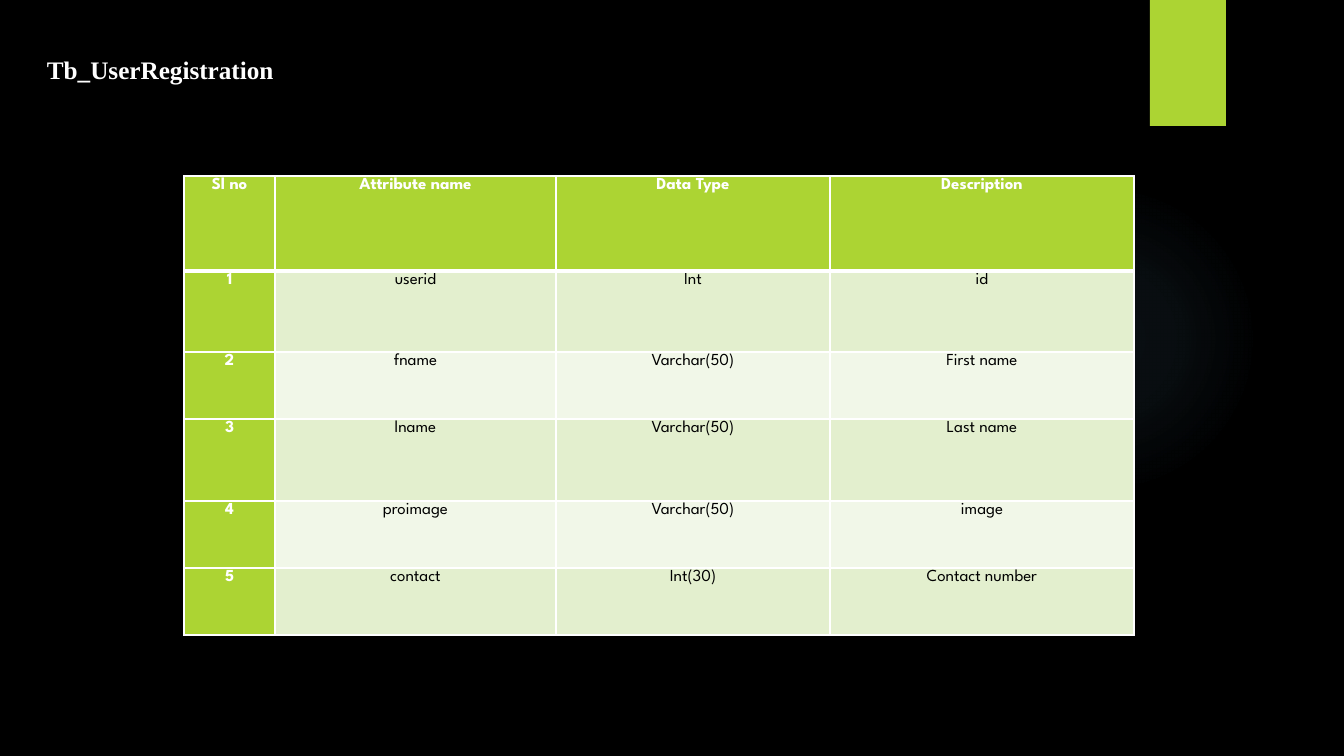
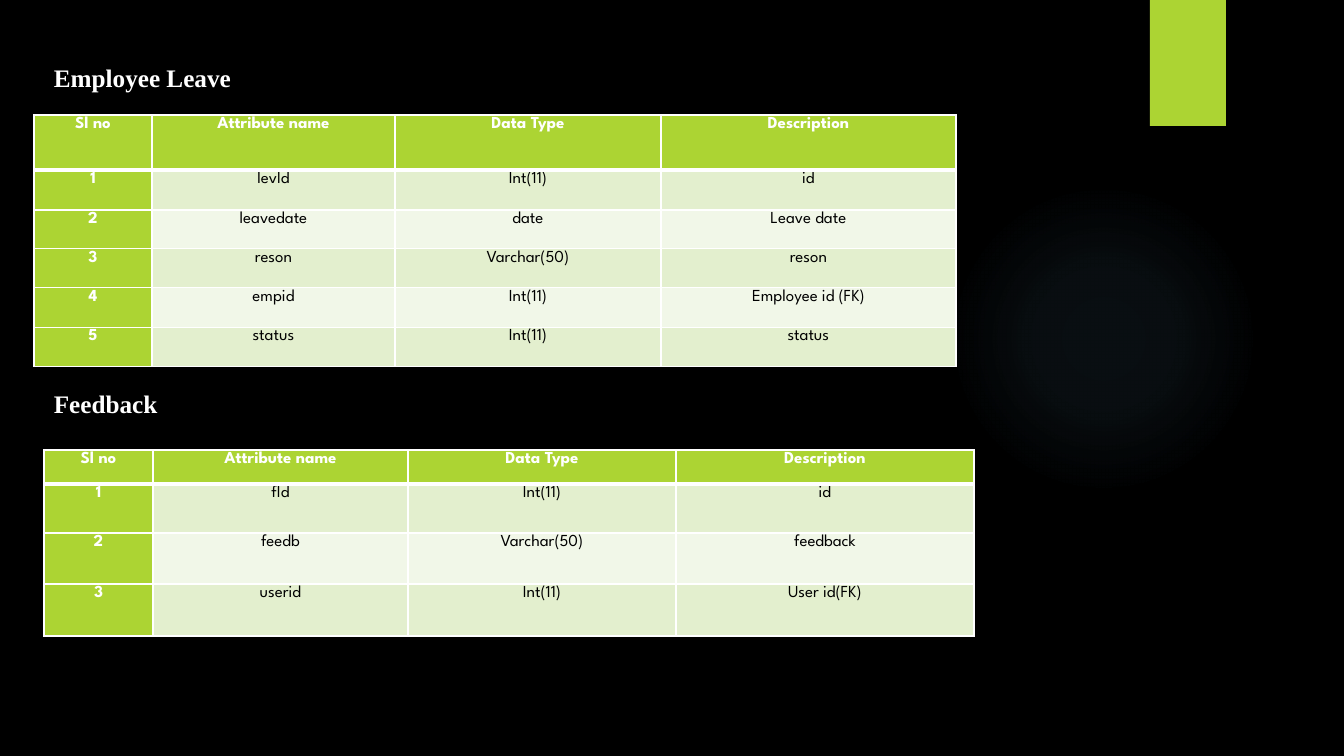
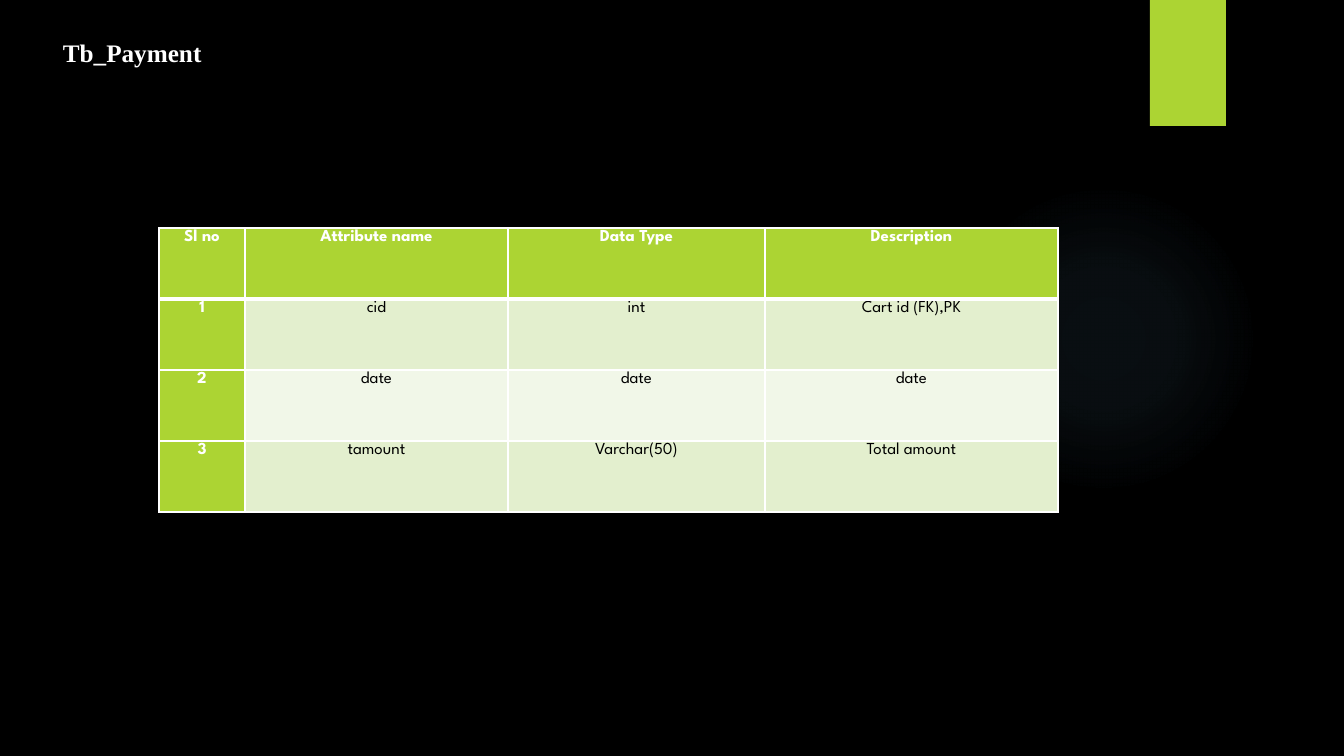
import pptx
import pptx.dml.color
import pptx.enum.shapes
import pptx.enum.text
import pptx.oxml
import pptx.oxml.ns
import pptx.util

COLORS = {
    "black": "000000",
    "white": "FFFFFF",
    "lime": "ACD433",
    "odd_row": "E3EFCE",
    "even_row": "F1F7E8",
    "glow": "7AC4F0",
}
TITLE_FONT, TABLE_FONT = "Times New Roman", "League Spartan"
HEADER = ["Sl no", "Attribute name", "Data Type", "Description"]
NS = pptx.oxml.ns.nsdecls("a")

# Each slide is a list of sections: title, title box, table corner, columns, rows, records
SLIDES = [
    [
        dict(title="Tb_UserRegistration", box=(37, 49, 256, 41), corner=(184, 176),
             cols=[91, 281, 274, 304], rows=[95, 81, 67, 82, 67, 67],
             records=[["userid", "Int", "id"],
                      ["fname", "Varchar(50)", "First name"],
                      ["lname", "Varchar(50)", "Last name"],
                      ["proimage", "Varchar(50)", "image"],
                      ["contact", "Int(30)", "Contact number"]]),
    ],
    [
        dict(title="Employee Leave", box=(44, 57, 200, 41), corner=(34, 115),
             cols=[118, 243, 266, 295], rows=[55, 40, 39, 39, 40, 39],
             records=[["levId", "Int(11)", "id"],
                      ["leavedate", "date", "Leave date"],
                      ["reson", "Varchar(50)", "reson"],
                      ["empid", "Int(11)", "Employee id (FK)"],
                      ["status", "Int(11)", "status"]]),
        dict(title="Feedback", box=(44, 383, 125, 41), corner=(44, 450),
             cols=[109, 255, 268, 298], rows=[34, 49, 51, 52],
             records=[["fId", "Int(11)", "id"],
                      ["feedb", "Varchar(50)", "feedback"],
                      ["userid", "Int(11)", "User id(FK)"]]),
    ],
    [
        dict(title="Tb_Payment", box=(53, 32, 160, 41), corner=(159, 228),
             cols=[86, 263, 257, 293], rows=[71] * 4,
             records=[["cid", "int", "Cart id (FK),PK"],
                      ["date", "date", "date"],
                      ["tamount", "Varchar(50)", "Total amount"]]),
    ],
]


def px(*lengths):
    """Turn pixels at 100.8 to the inch into EMU."""
    return [pptx.util.Emu(round(n * 914400 / 100.8)) for n in lengths]


def style(p, font, size, color, bold):
    for r in p.runs:
        r.font.name = font
        r.font.size = pptx.util.Pt(size)
        r.font.bold = bold
        r.font.color.rgb = pptx.dml.color.RGBColor.from_string(COLORS[color])


prs = pptx.Presentation()
prs.slide_width, prs.slide_height = px(1344, 756)
blank = prs.slide_layouts[6]
for ph in list(blank.placeholders):
    blank.shapes.element.remove(ph.element)
slides = [prs.slides.add_slide(blank) for _ in SLIDES]

# Background, glow and tab are shared through the blank layout
fill = blank.background.fill
fill.solid()
fill.fore_color.rgb = pptx.dml.color.RGBColor.from_string(COLORS["black"])

shapes = slides[0].shapes
glow = shapes.add_shape(pptx.enum.shapes.MSO_SHAPE.OVAL, *px(949, 184, 310, 310))
glow.fill.background()
stops = "".join(
    f'<a:gs pos="{pos * 1000}"><a:srgbClr val="{COLORS["glow"]}">'
    f'<a:alpha val="{alpha * 1000}"/></a:srgbClr></a:gs>'
    for pos, alpha in [(0, 7), (36, 6), (69, 0)])
no_fill = glow.element.spPr.find(pptx.oxml.ns.qn("a:noFill"))
glow.element.spPr.replace(no_fill, pptx.oxml.parse_xml(
    f'<a:gradFill {NS}><a:gsLst>{stops}</a:gsLst><a:path path="circle">'
    '<a:fillToRect l="50000" t="50000" r="50000" b="50000"/></a:path></a:gradFill>'))

tab = shapes.add_shape(pptx.enum.shapes.MSO_SHAPE.RECTANGLE, *px(1150, 0, 76, 126))
tab.fill.solid()
tab.fill.fore_color.rgb = pptx.dml.color.RGBColor.from_string(COLORS["lime"])
for sp in (glow, tab):
    sp.line.fill.background()
    sp.shadow.inherit = False
    blank.shapes.element.append(sp.element)

for s, sections in zip(slides, SLIDES):
    for section in sections:
        tf = s.shapes.add_textbox(*px(*section["box"])).text_frame
        tf.word_wrap = False
        tf.auto_size = pptx.enum.text.MSO_AUTO_SIZE.SHAPE_TO_FIT_TEXT
        tf.text = section["title"]
        style(tf.paragraphs[0], TITLE_FONT, 18, "white", True)

        cols, rows = section["cols"], section["rows"]
        size = px(*section["corner"], sum(cols), sum(rows))
        table = s.shapes.add_table(len(rows), len(cols), *size).table
        for column, width in zip(table.columns, px(*cols)):
            column.width = width
        for row, height in zip(table.rows, px(*rows)):
            row.height = height

        records = [[str(n), *rec] for n, rec in enumerate(section["records"], 1)]
        for i, record in enumerate([HEADER] + records):
            for j, text in enumerate(record):
                cell = table.cell(i, j)
                heading = i == 0 or j == 0
                band = "lime" if heading else "odd_row" if i % 2 else "even_row"
                cell.fill.solid()
                cell.fill.fore_color.rgb = pptx.dml.color.RGBColor.from_string(COLORS[band])
                cell.margin_left, cell.margin_right = px(7, 7)
                cell.margin_top = cell.margin_bottom = 0
                cell.text_frame.text = text
                p = cell.text_frame.paragraphs[0]
                p.alignment = pptx.enum.text.PP_ALIGN.CENTER
                p.line_spacing = 1.09
                p.space_after = pptx.util.Pt(15.3)
                style(p, TABLE_FONT, 12, "white" if heading else "black", heading)

                # The rule under the header row is thicker than the grid
                widths = {"L": 1, "R": 1, "T": 3 if i == 1 else 1, "B": 3 if i == 0 else 1}
                tc_pr = cell._tc.get_or_add_tcPr()
                for k, (side, width) in enumerate(widths.items()):
                    tc_pr.insert(k, pptx.oxml.parse_xml(
                        f'<a:ln{side} {NS} w="{pptx.util.Pt(width)}"><a:solidFill>'
                        f'<a:srgbClr val="{COLORS["white"]}"/></a:solidFill></a:ln{side}>'))

prs.save("out.pptx")
